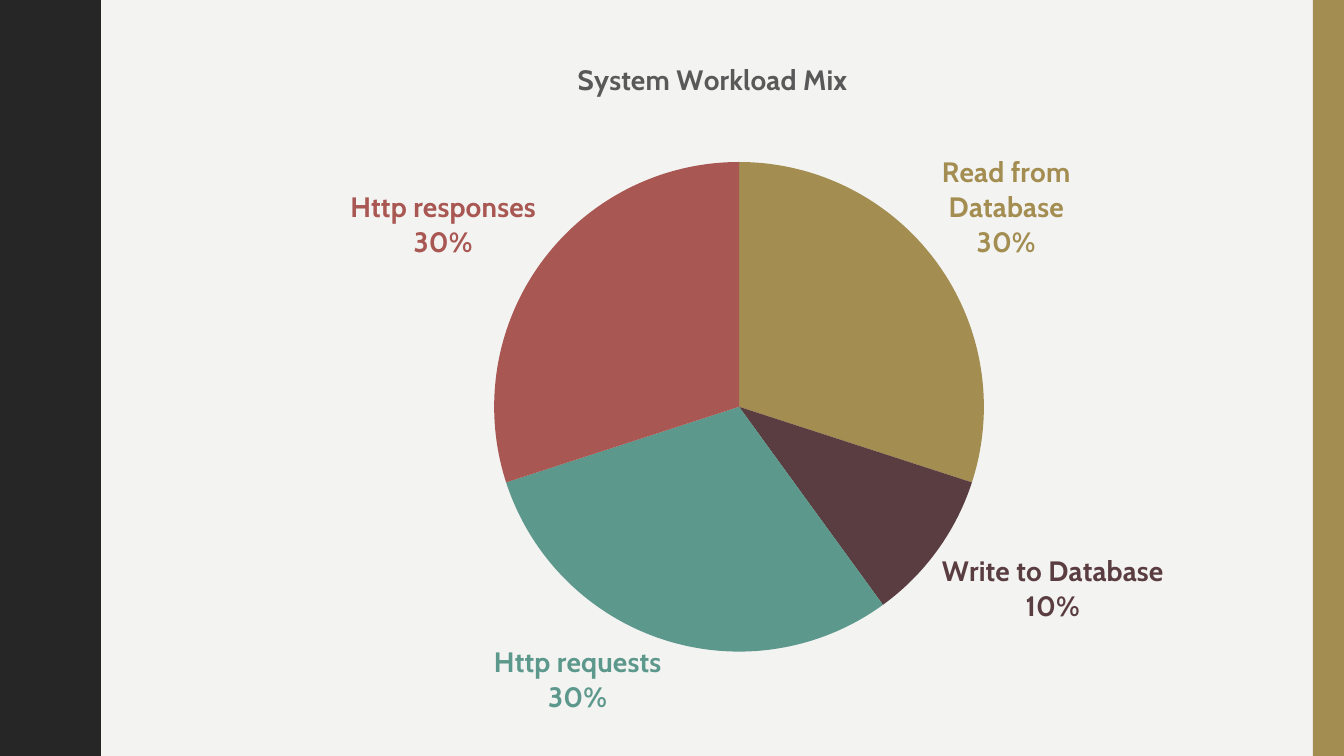
from lxml.etree import SubElement
from pptx import Presentation
from pptx.chart.data import CategoryChartData
from pptx.dml.color import RGBColor
from pptx.enum.chart import XL_CHART_TYPE, XL_LABEL_POSITION
from pptx.enum.shapes import MSO_SHAPE
from pptx.oxml import parse_xml
from pptx.oxml.ns import nsdecls, qn
from pptx.util import Inches, Pt

PAPER = RGBColor(0xF3, 0xF3, 0xF2)
INK = RGBColor(0x26, 0x26, 0x26)
GOLD = RGBColor(0xA3, 0x8D, 0x51)
PLUM = RGBColor(0x5A, 0x3D, 0x40)
TEAL = RGBColor(0x5D, 0x98, 0x8C)
BRICK = RGBColor(0xA8, 0x57, 0x52)
GREY = RGBColor(0x59, 0x59, 0x59)
BLACK = RGBColor(0, 0, 0)

FONT = "Cabin"
WIDTH, HEIGHT = 13.33, 7.5
TITLE = "System Workload Mix"
WORKLOADS = [
    ("Read from Database", 30, GOLD),
    ("Write to Database", 10, PLUM),
    ("Http requests", 30, TEAL),
    ("Http responses", 30, BRICK),
]

WAVES = 5
# Outline of half a wave, from trough to crest: (x, y) in inches
HALF_WAVE = [
    (0, 0), (0, 0.07), (0.01, 0.14), (0.02, 0.2), (0.03, 0.25),
    (0.05, 0.29), (0.07, 0.33), (0.09, 0.38), (0.11, 0.42), (0.13, 0.46),
    (0.15, 0.5), (0.17, 0.55), (0.18, 0.61), (0.19, 0.68), (0.19, 0.75),
]


def paint(shape, color):
    shape.shadow.inherit = False
    shape.fill.solid()
    shape.fill.fore_color.rgb = color
    shape.line.fill.background()


def set_font(font, size, color, bold=False):
    font.name = FONT
    font.size = Pt(size)
    font.bold = bold
    font.color.rgb = color


def add_wavy_edge(page, trough, height):
    """Dark band on the left whose right side repeats one wave."""
    period = height / WAVES
    mirrored = [(x, period - y) for x, y in reversed(HALF_WAVE[:-1])]
    wave = HALF_WAVE + mirrored
    edge = [(trough + x, number * period + y)
            for number in range(WAVES) for x, y in wave]
    builder = page.shapes.build_freeform(0, 0, scale=Inches(1))
    builder.add_line_segments(edge + [(0, height)], close=True)
    paint(builder.convert_to_shape(), INK)


def add_side_bar(page, left, top, width, height):
    bar = page.shapes.add_shape(
        MSO_SHAPE.RECTANGLE, *map(Inches, (left, top, width, height)))
    paint(bar, GOLD)


def set_layout(parent, index, **shares):
    """Fix a chart part's place, in shares of the chart's size."""
    for old in parent.findall(qn("c:layout")):
        parent.remove(old)
    layout = parse_xml(f"<c:layout {nsdecls('c')}><c:manualLayout/></c:layout>")
    if "w" in shares:
        SubElement(layout[0], qn("c:layoutTarget"), val="inner")
    for axis in "xy":
        SubElement(layout[0], qn(f"c:{axis}Mode"), val="edge")
    for name, share in shares.items():
        SubElement(layout[0], qn(f"c:{name}"), val=str(share))
    parent.insert(index, layout)


def show_category_and_percent(label):
    for name, shown in (("Val", "0"), ("CatName", "1"), ("Percent", "1")):
        label.find(qn(f"c:show{name}")).set("val", shown)
    SubElement(label, qn("c:separator")).text = "\n"


def add_workload_pie(page, left, top, width, height):
    data = CategoryChartData(number_format="General")
    data.categories = [name for name, _, _ in WORKLOADS]
    data.add_series(TITLE, [value for _, value, _ in WORKLOADS])
    chart = page.shapes.add_chart(
        XL_CHART_TYPE.PIE, *map(Inches, (left, top, width, height)), data).chart
    set_font(chart.font, 10, BLACK)
    chart.has_legend = False

    chart.has_title = True
    frame = chart.chart_title.text_frame
    frame.text = TITLE
    set_font(frame.paragraphs[0].font, 20, GREY, bold=True)
    set_layout(chart.chart_title._element, 1, x=0.38, y=0.04)

    plot = chart.plots[0]
    plot.vary_by_categories = True
    set_layout(plot._element.getparent(), 0, x=0.312, y=0.192, w=0.424, h=0.692)

    series = plot.series[0]
    for index, (_, _, color) in enumerate(WORKLOADS):
        point = series.points[index]
        point.format.fill.solid()
        point.format.fill.fore_color.rgb = color
        point.format.line.fill.background()
        set_font(point.data_label.font, 20, color, bold=True)
        point.data_label.position = XL_LABEL_POSITION.OUTSIDE_END
    for label in series._element.iter(qn("c:dLbl")):
        show_category_and_percent(label)


def main():
    deck = Presentation()
    deck.slide_width, deck.slide_height = Inches(WIDTH), Inches(HEIGHT)
    page = deck.slides.add_slide(deck.slide_layouts.get_by_name("Blank"))
    page.background.fill.solid()
    page.background.fill.fore_color.rgb = PAPER
    add_wavy_edge(page, 0.78, HEIGHT)
    add_side_bar(page, WIDTH - 0.31, 0, 0.31, HEIGHT)
    add_workload_pie(page, 1.32, 0.26, 11.47, 7.02)
    deck.save("out.pptx")


if __name__ == "__main__":
    main()
